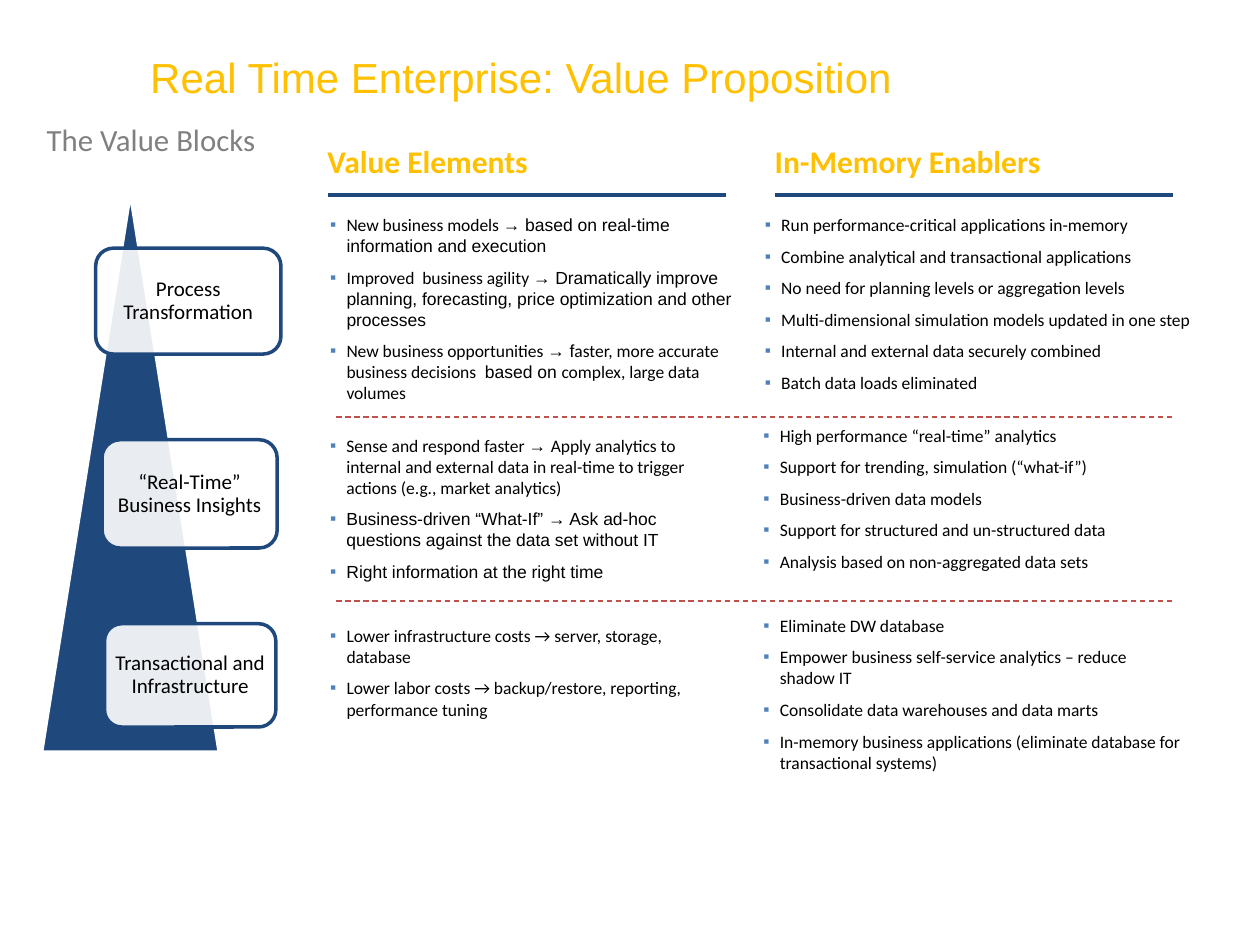
from dataclasses import dataclass

from lxml import etree
from pptx import Presentation
from pptx import util as u
from pptx.dml.color import RGBColor
from pptx.enum import dml, shapes, text
from pptx.oxml import ns
from pptx.shapes.autoshape import Shape
from pptx.slide import Slide

EMU_PER_PX = 9144


@dataclass(frozen=True)
class Theme:
    gold: str = "FFC000"
    gray: str = "808080"
    navy: str = "1F497D"
    blue: str = "4F81BD"
    red: str = "C0504D"
    white: str = "FFFFFF"
    black: str = "000000"
    sans: str = "Calibri"
    alternate: str = "Arial"
    title_size: float = 24
    heading_size: float = 18
    subtitle_size: float = 17.6
    block_size: float = 12
    list_size: float = 10


@dataclass(frozen=True)
class Box:
    left: int
    top: int
    width: int
    height: int


@dataclass(frozen=True)
class Heading:
    box: Box
    label: str
    rule_left: int


@dataclass(frozen=True)
class ValueBlock:
    box: Box
    label: str


@dataclass(frozen=True)
class BulletList:
    box: Box
    items: tuple[str, ...]


THEME = Theme()
RULE_TOP, RULE_WIDTH = 155, 316
DIVIDER_LEFT, DIVIDER_RIGHT = 267, 932
DIVIDER_TOPS = (331, 477)
TRIANGLE = Box(33, 153, 141, 444)

HEADINGS = (
    Heading(Box(250, 108, 205, 40), "Value Elements", 260),
    Heading(Box(605, 108, 312, 42), "In-Memory Enablers", 615),
)
BLOCKS = (
    ValueBlock(Box(76, 197, 147, 84), "Process Transformation"),
    ValueBlock(Box(81, 349, 139, 86), "“Real-Time” Business Insights"),
    ValueBlock(Box(83, 495, 136, 82), "Transactional and Infrastructure"),
)
LISTS = (
    BulletList(Box(262, 170, 321, 143), (
        "New business models |→ based on real-time information and execution",
        "Improved  business agility |→ Dramatically improve planning, forecasting, "
        "price optimization and other processes",
        "New business opportunities |→ f|aster, more accurate business decisions "
        "| based on |complex, large data volumes",
    )),
    BulletList(Box(262, 345, 303, 88), (
        "Sense and respond faster |→ |Apply analytics to internal and external data "
        "in real-time to trigger actions (e.g., market analytics)",
        "|Business-driven “What-If” → Ask ad-hoc questions against the data set without IT",
        "|Right information at the right time",
    )),
    BulletList(Box(262, 496, 279, 114), (
        "Lower infrastructure costs → server, storage, database",
        "Lower labor costs → backup/restore, reporting, performance tuning",
    )),
    BulletList(Box(607, 170, 361, 143), (
        "Run performance-critical applications in-memory",
        "Combine analytical and transactional applications",
        "No need for planning levels or aggregation levels",
        "Multi-dimensional simulation models updated in one step",
        "Internal and external data securely combined",
        "Batch data loads eliminated",
    )),
    BulletList(Box(606, 337, 323, 146), (
        "High performance “real-time” analytics",
        "Support for trending, simulation (“what-if”)",
        "Business-driven data models",
        "Support for structured and un-structured data",
        "Analysis based on non-aggregated data sets",
    )),
    BulletList(Box(606, 488, 333, 149), (
        "Eliminate DW database",
        "Empower business self-service analytics – reduce shadow IT",
        "Consolidate data warehouses and data marts",
        "In-memory business applications (eliminate database for transactional systems)",
    )),
)


def px(length: int) -> u.Emu:
    return u.Emu(length * EMU_PER_PX)


def edges(box: Box) -> tuple[u.Emu, ...]:
    return px(box.left), px(box.top), px(box.width), px(box.height)


def rgb(color: str) -> RGBColor:
    return RGBColor.from_string(color)


def write_text(shape: Shape, *items: str, size: float, color: str = THEME.black,
               fonts: tuple[str, str] = (THEME.sans, THEME.alternate), bold: bool = False,
               align: text.PP_ALIGN = text.PP_ALIGN.LEFT,
               anchor: text.MSO_ANCHOR = text.MSO_ANCHOR.TOP,
               insets: tuple[int, int, int, int] = (10, 5, 10, 5),
               line_spacing: float = 1.0, space_before: float = 0,
               hanging: int = 0, bullet: str = "") -> None:
    frame = shape.text_frame
    frame.word_wrap = True
    frame.auto_size = text.MSO_AUTO_SIZE.NONE
    frame.vertical_anchor = anchor
    frame.margin_left, frame.margin_top, frame.margin_right, frame.margin_bottom = map(px, insets)
    for index, item in enumerate(items):
        paragraph = frame.add_paragraph() if index else frame.paragraphs[0]
        paragraph.alignment = align
        paragraph.line_spacing = line_spacing
        paragraph.space_before = u.Pt(space_before)
        properties = paragraph._p.get_or_add_pPr()
        properties.set("marL", str(px(hanging)))
        properties.set("indent", str(px(-hanging)))
        if bullet:
            bullet_color = etree.SubElement(properties, ns.qn("a:buClr"))
            etree.SubElement(bullet_color, ns.qn("a:srgbClr"), val=THEME.blue)
            etree.SubElement(properties, ns.qn("a:buFont"), typeface=THEME.alternate)
            etree.SubElement(properties, ns.qn("a:buChar"), char=bullet)
        else:
            etree.SubElement(properties, ns.qn("a:buNone"))
        for position, part in enumerate(item.split("|")):
            if part:
                run = paragraph.add_run()
                run.text = part
                run.font.name = fonts[position % 2]
                run.font.size = u.Pt(size)
                run.font.bold = bold
                run.font.color.rgb = rgb(color)


def draw_line(slide: Slide, left: int, right: int, top: int, color: str, weight: float,
              dash: dml.MSO_LINE = dml.MSO_LINE.SOLID) -> None:
    line = slide.shapes.add_connector(
        shapes.MSO_CONNECTOR.STRAIGHT, px(left), px(top), px(right), px(top))
    line.line.color.rgb = rgb(color)
    line.line.width = u.Pt(weight)
    line.line.dash_style = dash
    etree.SubElement(line._element.spPr, ns.qn("a:effectLst"))


def draw_shape(slide: Slide, kind: shapes.MSO_SHAPE, box: Box, fill: str, outline: str,
               opacity: int = 100) -> Shape:
    shape = slide.shapes.add_shape(kind, *edges(box))
    shape.shadow.inherit = False
    shape.fill.solid()
    shape.fill.fore_color.rgb = rgb(fill)
    shape.line.color.rgb = rgb(outline)
    shape.line.width = u.Pt(2)
    if opacity < 100:
        color = shape._element.spPr.find(ns.qn("a:solidFill"))[0]
        etree.SubElement(color, ns.qn("a:alpha"), val=str(opacity * 1000))
    return shape


def place(shape: Shape, box: Box) -> Shape:
    shape.left, shape.top, shape.width, shape.height = edges(box)
    return shape


def main() -> None:
    presentation = Presentation()
    presentation.slide_width, presentation.slide_height = px(1000), px(750)
    slide = presentation.slides.add_slide(presentation.slide_layouts[1])

    write_text(place(slide.shapes.title, Box(27, 22, 783, 77)),
               "Real Time Enterprise: Value Proposition", size=THEME.title_size,
               color=THEME.gold, fonts=(THEME.alternate, THEME.sans),
               align=text.PP_ALIGN.CENTER, anchor=text.MSO_ANCHOR.MIDDLE, insets=(0, 5, 10, 5))
    write_text(place(slide.placeholders[1], Box(27, 91, 783, 34)), "The Value Blocks",
               size=THEME.subtitle_size, color=THEME.gray, hanging=38)

    for bullets in LISTS:
        write_text(slide.shapes.add_textbox(*edges(bullets.box)), *bullets.items,
                   size=THEME.list_size, insets=(0, 0, 0, 0), space_before=6,
                   hanging=13, bullet="▪")
    for heading in HEADINGS:
        write_text(slide.shapes.add_textbox(*edges(heading.box)), heading.label,
                   size=THEME.heading_size, color=THEME.gold, bold=True, hanging=17)
        draw_line(slide, heading.rule_left, heading.rule_left + RULE_WIDTH, RULE_TOP,
                  THEME.navy, 2.25)

    draw_shape(slide, shapes.MSO_SHAPE.ISOSCELES_TRIANGLE, TRIANGLE, THEME.navy, THEME.white)
    for block in BLOCKS:
        shape = draw_shape(slide, shapes.MSO_SHAPE.ROUNDED_RECTANGLE, block.box,
                           THEME.white, THEME.navy, opacity=90)
        write_text(shape, block.label, size=THEME.block_size, align=text.PP_ALIGN.CENTER,
                   anchor=text.MSO_ANCHOR.MIDDLE, insets=(1, 1, 1, 1), line_spacing=0.9)
    for top in DIVIDER_TOPS:
        draw_line(slide, DIVIDER_LEFT, DIVIDER_RIGHT, top, THEME.red, 0.75, dml.MSO_LINE.DASH)

    presentation.save("out.pptx")


if __name__ == "__main__":
    main()
